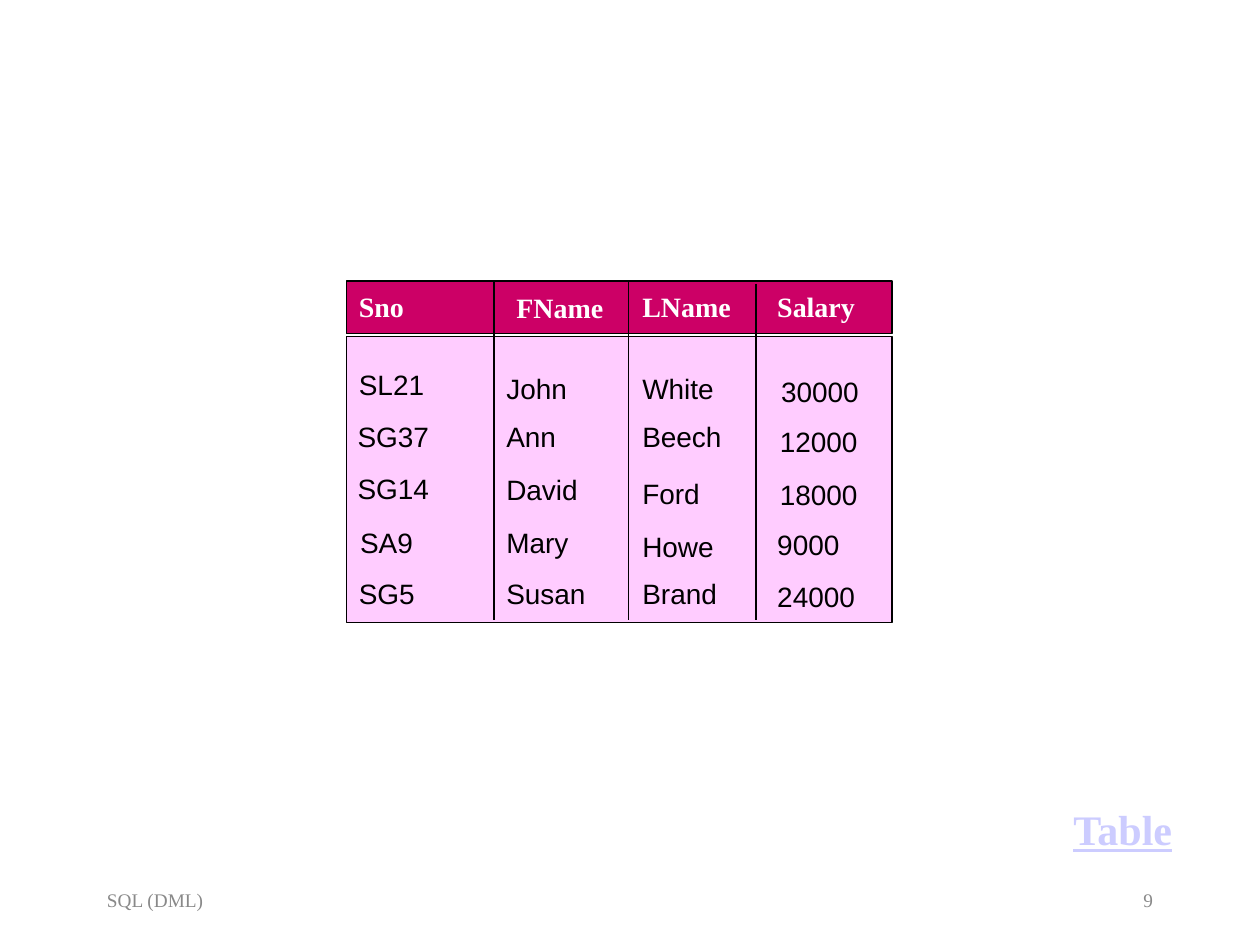
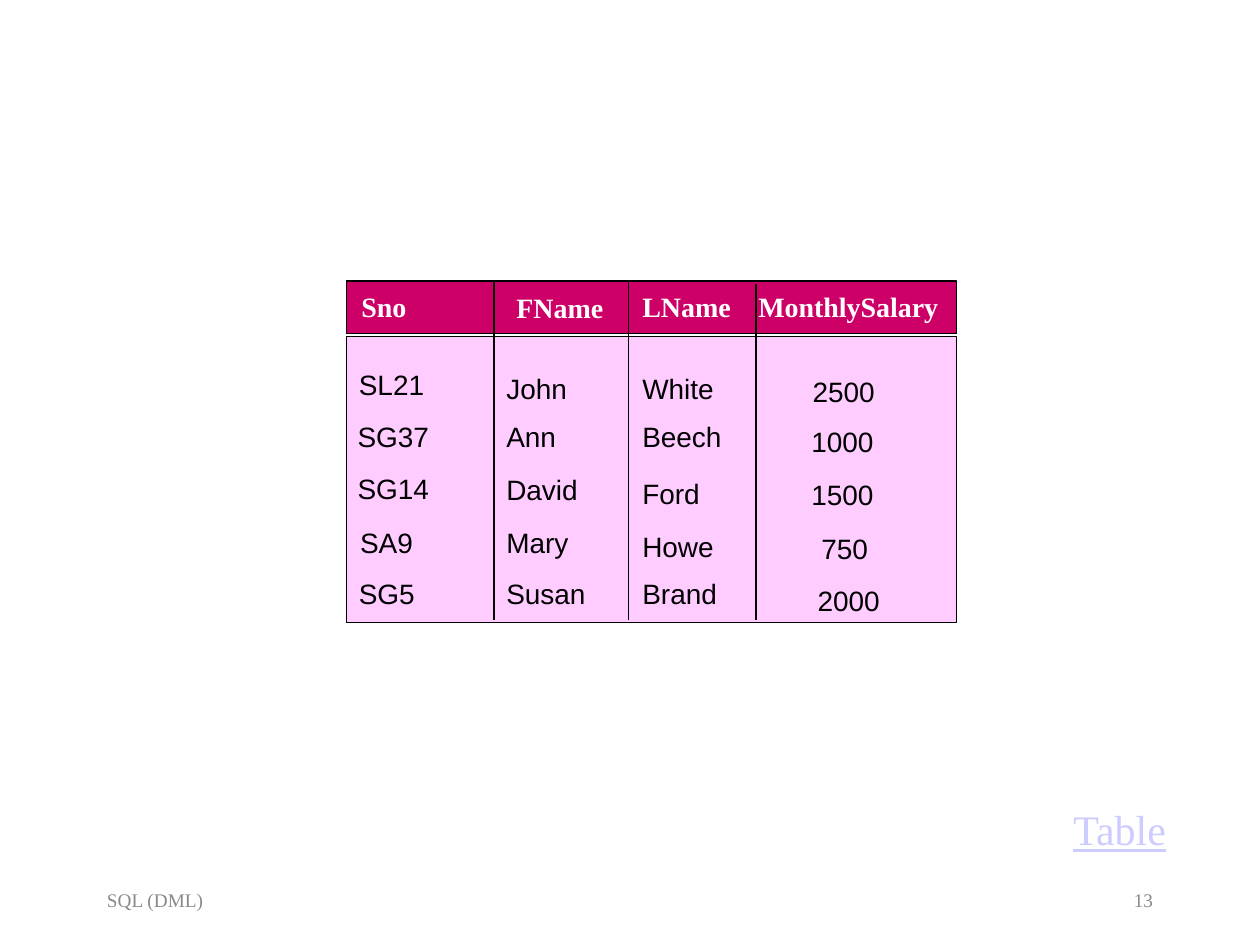
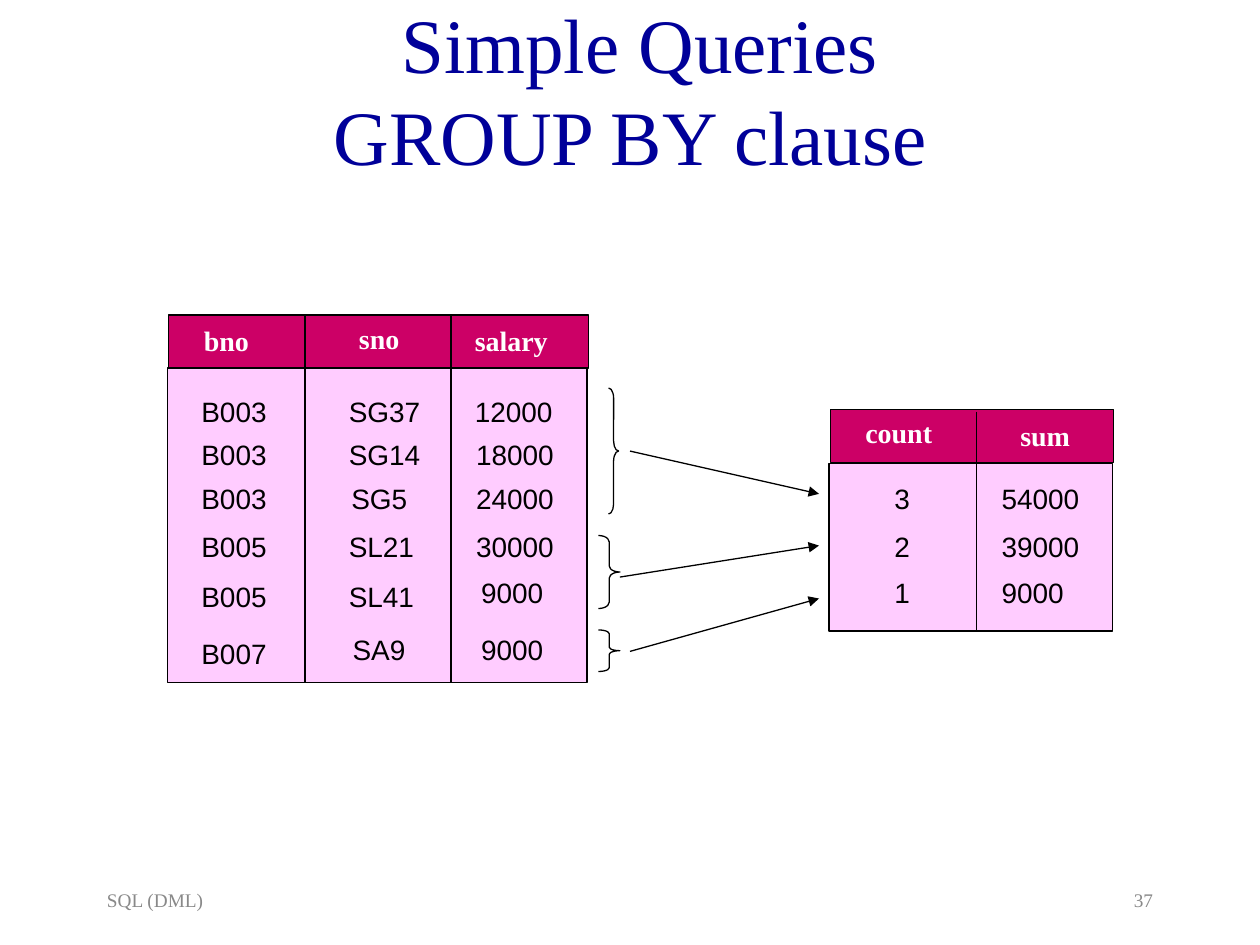
"""Build three SQL slides: two staff result tables and a GROUP BY diagram."""
from dataclasses import dataclass

from lxml import etree
from pptx import Presentation
from pptx.dml.color import RGBColor
from pptx.enum.shapes import MSO_CONNECTOR, MSO_SHAPE
from pptx.enum.text import MSO_ANCHOR, MSO_AUTO_SIZE, PP_ALIGN
from pptx.oxml.ns import qn
from pptx.util import Inches, Pt

RECT, BRACE = MSO_SHAPE.RECTANGLE, MSO_SHAPE.RIGHT_BRACE
LINE = MSO_CONNECTOR.STRAIGHT
LEFT, MID, RIGHT = PP_ALIGN.LEFT, PP_ALIGN.CENTER, PP_ALIGN.RIGHT
GROW, FIXED = MSO_AUTO_SIZE.SHAPE_TO_FIT_TEXT, MSO_AUTO_SIZE.NONE
MIDDLE = MSO_ANCHOR.MIDDLE


@dataclass(frozen=True)
class Theme:
    black: str = "000000"
    white: str = "FFFFFF"
    band: str = "CC0066"
    body: str = "FFCCFF"
    link: str = "CCCCFF"
    title: str = "000099"
    foot: str = "898989"
    sans: str = "Arial"
    serif: str = "Times New Roman"
    small: int = 11
    cell: int = 16
    large: int = 24
    huge: int = 44
    rule: float = 0.75


T = Theme()


def write(slide, box, text, size, font, color, bold=False, align=LEFT, wrap=True, fit=FIXED):
    """Add a text box and return it."""
    area = slide.shapes.add_textbox(*map(Inches, box))
    frame = area.text_frame
    frame.word_wrap, frame.auto_size = wrap, fit
    para = frame.paragraphs[0]
    para.alignment = align
    for i, part in enumerate(text.split("\n")):
        if i:
            para.add_line_break()
        run = para.add_run()
        run.text = part
        run.font.size, run.font.name, run.font.bold = Pt(size), font, bold
        run.font.color.rgb = RGBColor.from_string(color)
    return area


def draw(slide, box, kind=None, fill=None):
    """Add an outlined shape, or a straight line when no kind is given."""
    if kind is None:
        item = slide.shapes.add_connector(LINE, *map(Inches, box))
        etree.SubElement(item._element.spPr, qn("a:effectLst"))
    else:
        item = slide.shapes.add_shape(kind, *map(Inches, box))
        item.shadow.inherit = False
        if fill:
            item.fill.solid()
            item.fill.fore_color.rgb = RGBColor.from_string(fill)
        else:
            item.fill.background()
    item.line.color.rgb = RGBColor.from_string(T.black)
    item.line.width = Pt(T.rule)
    return item


heads = [("FName", 4, 2.26, 0.89), ("LName", 5, 2.25, 0.9)]
staff = [
    ("SL21", 2.75, 2.87, 0.72), ("SG37", 2.74, 3.28, 0.77), ("SG14", 2.74, 3.69, 0.77),
    ("SA9", 2.76, 4.12, 0.62), ("SG5", 2.75, 4.53, 0.65),
    ("John", 3.92, 2.9, 0.68), ("Ann", 3.92, 3.28, 0.6), ("David", 3.92, 3.7, 0.77),
    ("Mary", 3.92, 4.12, 0.7), ("Susan", 3.92, 4.53, 0.83),
    ("White", 5, 2.9, 0.77), ("Beech", 5, 3.28, 0.83), ("Ford", 5, 3.73, 0.66),
    ("Howe", 5, 4.15, 0.77), ("Brand", 5, 4.53, 0.79),
]
yearly = [
    ("30000", 6.1, 2.92, 0.82), ("12000", 6.09, 3.32, 0.82), ("18000", 6.09, 3.74, 0.82),
    ("9000", 6.07, 4.14, 0.69), ("24000", 6.07, 4.55, 0.82),
]
monthly = [
    ("2500", 6.35, 2.92, 0.69), ("1000", 6.34, 3.32, 0.69), ("1500", 6.34, 3.74, 0.69),
    ("750", 6.42, 4.17, 0.57), ("2000", 6.39, 4.58, 0.69),
]
branch = [
    ("B003", 1.5, 3.08, 0.72), ("SG37", 2.67, 3.08, 0.77), ("12000", 3.67, 3.08, 0.82),
    ("B003", 1.5, 3.42, 0.72), ("SG14", 2.67, 3.42, 0.77), ("18000", 3.68, 3.42, 0.82),
    ("B003", 1.5, 3.77, 0.72), ("SG5", 2.69, 3.77, 0.65), ("24000", 3.68, 3.77, 0.82),
    ("B005", 1.5, 4.15, 0.72), ("SL21", 2.67, 4.15, 0.72), ("30000", 3.68, 4.15, 0.82),
    ("B005", 1.5, 4.55, 0.72), ("SL41", 2.67, 4.55, 0.72), ("9000", 3.72, 4.52, 0.69),
    ("B007", 1.5, 5, 0.72), ("SA9", 2.7, 4.97, 0.62), ("9000", 3.72, 4.97, 0.69),
]
totals = [
    ("3", 7, 3.77, 0.32), ("54000", 7.85, 3.77, 0.82),
    ("2", 7, 4.15, 0.32), ("39000", 7.85, 4.15, 0.82),
    ("1", 7, 4.52, 0.32), ("9000", 7.85, 4.52, 0.69),
]
cuts = [(x, *span) for x in (3.92, 4.99) for span in ((2.65, 4.92), (2.65, 2.23))]
cuts.append((6, 2.25, 4.92))

grids = [
    (0, (2.75, 2.23, 4.33, 0.42), (2.75, 2.67, 4.33, 2.27), cuts,
     [("Sno", 2.75, 2.25, 0.56), *heads, ("Salary", 6.07, 2.25, 0.82)], staff + yearly),
    (1, (2.75, 2.23, 4.84, 0.42), (2.75, 2.67, 4.84, 2.27), cuts,
     [("Sno", 2.77, 2.25, 0.56), *heads, ("MonthlySalary", 5.92, 2.25, 1.64)], staff + monthly),
    (2, (1.34, 2.5, 3.33, 0.42), (1.33, 2.92, 3.33, 2.5), [(2.42, 2.5, 5.42), (3.58, 2.5, 5.42)],
     [("bno", 1.52, 2.52, 0.56), ("sno", 2.75, 2.5, 0.52), ("salary", 3.67, 2.52, 0.78)], branch),
    (2, (6.59, 3.25, 2.25, 0.42), (6.58, 3.68, 2.25, 1.33), [(7.75, 3.27, 5.02)],
     [("count", 6.77, 3.25, 0.73), ("sum", 8, 3.27, 0.6)], totals),
]

deck = Presentation()
deck.slide_width, deck.slide_height = Inches(10), Inches(7.5)
slides = []
for page in ("9", "13", "37"):
    slide = deck.slides.add_slide(deck.slide_layouts[6])
    write(slide, (0.75, 7, 2.08, 0.5), "SQL (DML)", T.small, T.serif, T.foot)
    write(slide, (7.17, 7, 2.08, 0.5), page, T.small, T.serif, T.foot, align=RIGHT)
    slides.append(slide)

title = write(slides[2], (-0.42, 0.08, 11, 1.25), "Simple Queries\nGROUP BY clause ",
              T.huge, T.serif, T.title, align=MID)
title.text_frame.vertical_anchor = MIDDLE

for index, band, body, rules, names, cells in grids:
    slide = slides[index]
    draw(slide, body, RECT, T.body)
    draw(slide, band, RECT, T.band)
    for x, top, end in rules:
        draw(slide, (x, top, x, end))
    for group, font, color, bold in ((names, T.serif, T.white, True), (cells, T.sans, T.black, False)):
        for text, x, y, wide in group:
            write(slide, (x, y, wide, 0.37), text, T.cell, font, color, bold, wrap=False, fit=GROW)

for slide, bold in zip(slides, (True, False)):
    link = write(slide, (8.42, 6.33, 1.17, 0.51), "Table", T.large, T.serif, T.link, bold, fit=GROW)
    link.text_frame.paragraphs[0].runs[0].font.underline = True

flows = [
    ((4.83, 3.08, 0.08, 1), 1, (5, 3.58, 6.5, 3.92)),
    ((4.75, 4.25, 0.17, 0.58), 0.29, (4.92, 4.58, 6.5, 4.33)),
    ((4.75, 5, 0.17, 0.33), 0.17, (5, 5.17, 6.5, 4.75)),
]
for box, curve, ends in flows:
    brace = draw(slides[2], box, BRACE)
    brace.adjustments[0] = curve
    arrow = draw(slides[2], ends)
    etree.SubElement(arrow.line._get_or_add_ln(), qn("a:tailEnd"), type="triangle")

deck.save("out.pptx")
